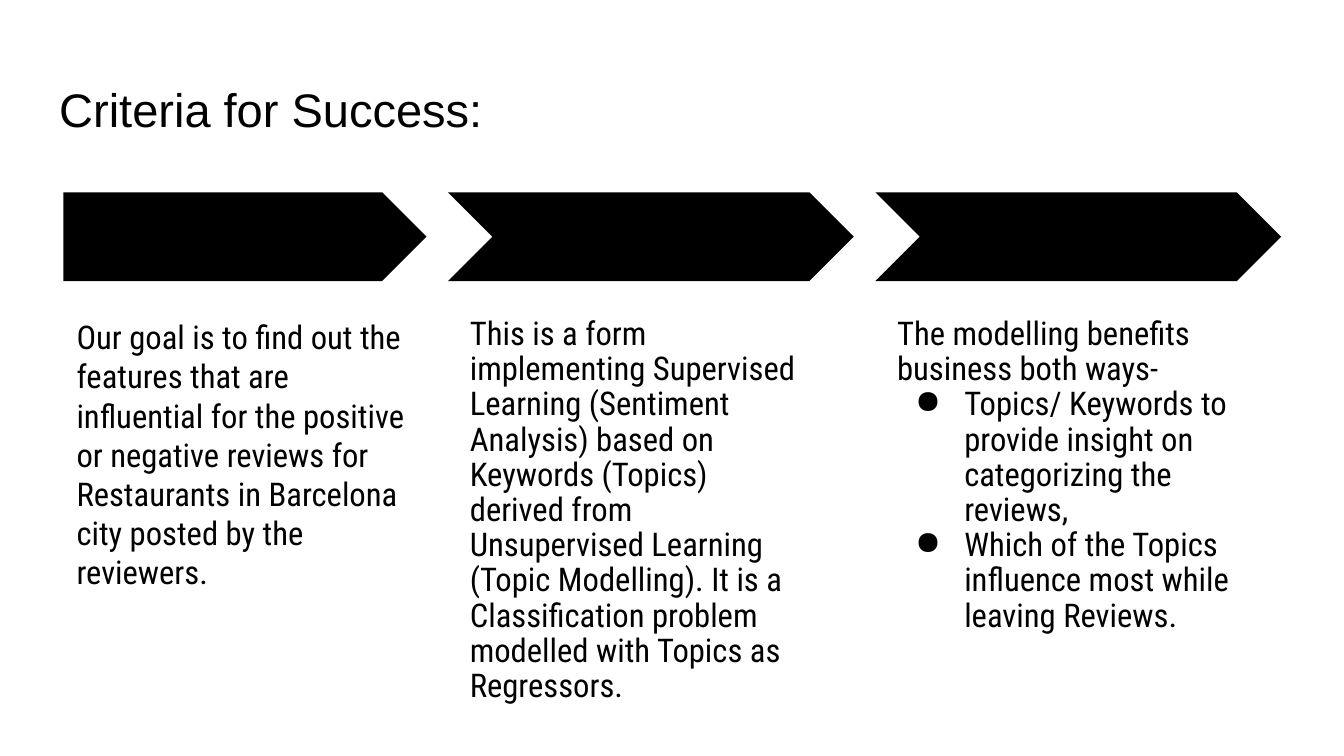
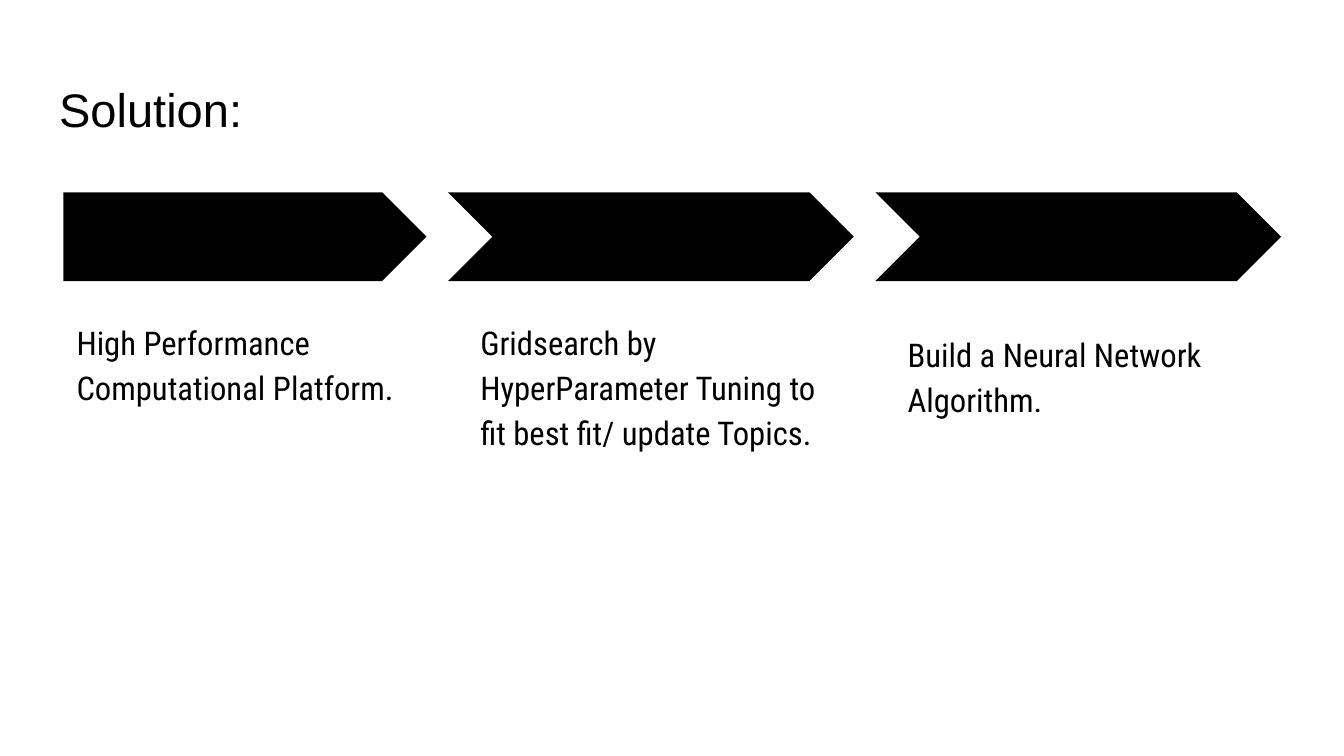
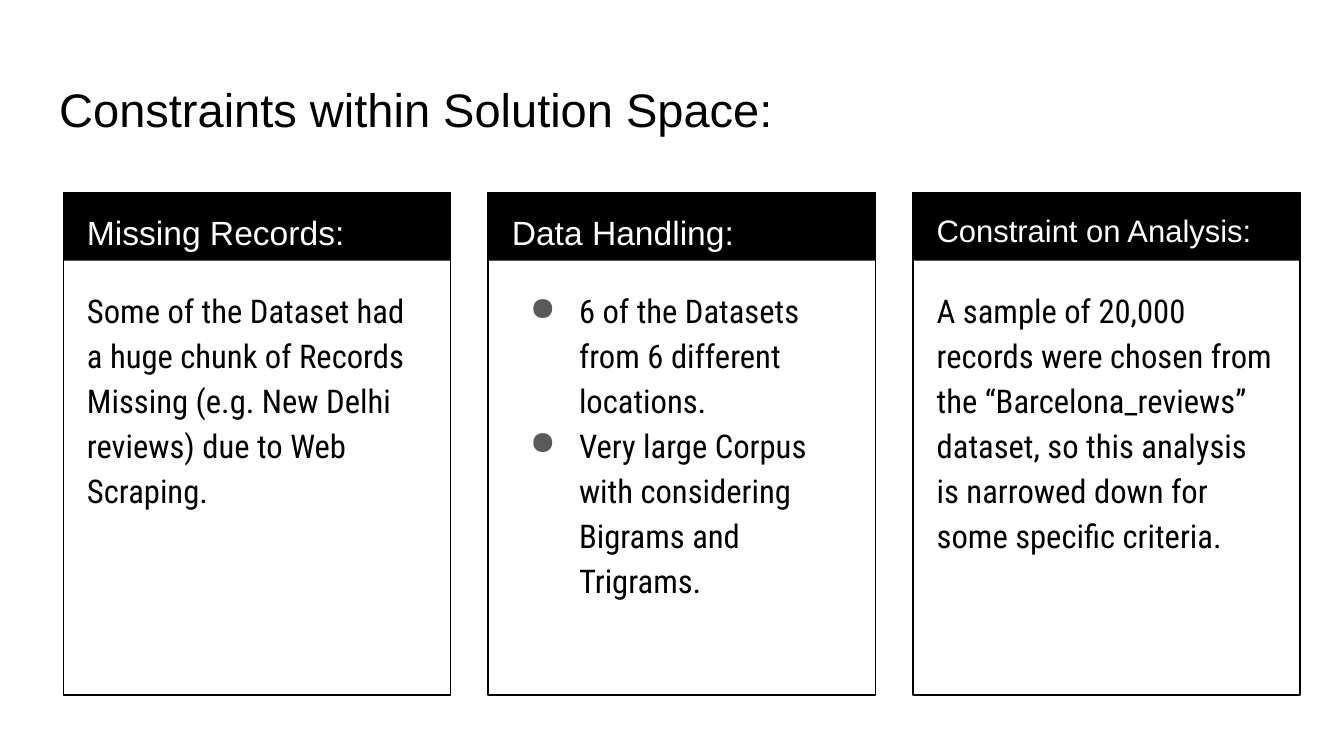
from lxml.etree import SubElement
from pptx import Presentation
from pptx.dml.color import RGBColor
from pptx.enum.shapes import MSO_SHAPE as SHAPE
from pptx.enum.text import MSO_ANCHOR as ANCHOR, MSO_AUTO_SIZE as AUTO_SIZE, PP_ALIGN as ALIGN
from pptx.oxml.ns import qn
from pptx.util import Pt

BLACK = RGBColor(0x00, 0x00, 0x00)
WHITE = RGBColor(0xFF, 0xFF, 0xFF)
GREY = RGBColor(0x59, 0x59, 0x59)
HEADING_FONT, BODY_FONT = "Arial", "Roboto Condensed"
BODY_SIZE = 17.5

LEFT, TOP = 33.9, 103
ARROW_HEIGHT, ARROW_GAP = 47.6, 11.5
STEP_WIDTH, CHEVRON_WIDTH = 194.6, 217.4
STEP_TOP, STEP_HEIGHT = 162.7, 208.8
CARD_WIDTH, CARD_HEIGHT, CARD_PITCH = 207.4, 269.3, 227.6
BAND_HEIGHT, CARD_INDENT = 36.7, 5.6
CARD_TEXT_TOP, CARD_TEXT_HEIGHT = 145.4, 220

# Steps: text, bullets, line spacing, drop below the common top
PROCESSES = [
    {
        "title": "Criteria for Success:",
        "indent": 4.6,
        "space_after": 0,
        "steps": [
            ("Our goal is to find out the features that are influential for the positive or negative "
             "reviews for Restaurants in Barcelona city posted by the reviewers.", [], 1.0, 0),
            ("This is a form implementing Supervised Learning (Sentiment Analysis) based on Keywords "
             "(Topics) derived from Unsupervised Learning (Topic Modelling). It is a Classification "
             "problem modelled with Topics as Regressors.", [], 0.9, 0),
            ("The modelling benefits business both ways-",
             ["Topics/ Keywords to provide insight on categorizing the reviews,",
              "Which of the Topics influence most while leaving Reviews."], 0.9, 0),
        ],
    },
    {
        "title": "Solution:",
        "indent": 10.2,
        "space_after": 8,
        "steps": [
            ("High Performance Computational Platform.", [], 1.15, 0),
            ("Gridsearch by HyperParameter Tuning to fit best fit/ update Topics.", [], 1.15, 0),
            ("Build a Neural Network Algorithm.", [], 1.15, 6.5),
        ],
    },
]

CONSTRAINTS_TITLE = "Constraints within Solution Space:"
# Cards: heading, heading size, text, bullets, space after
CONSTRAINTS = [
    ("Missing Records:", 18,
     "Some of the Dataset had a huge chunk of Records Missing (e.g. New Delhi reviews) due to "
     "Web Scraping.", [], 16),
    ("Data Handling:", 18, None,
     ["6 of the Datasets from 6 different locations.",
      "Very large Corpus with considering Bigrams and Trigrams."], 0),
    ("Constraint on Analysis:", 16.6,
     "A sample of 20,000 records were chosen from the “Barcelona_reviews” dataset, so this "
     "analysis is narrowed down for some specific criteria.", [], 0),
]


def set_font(paragraph, name, size, color):
    paragraph.font.name = name
    paragraph.font.size = Pt(size)
    paragraph.font.color.rgb = color


def set_frame(frame, anchor):
    frame.word_wrap = True
    frame.auto_size = AUTO_SIZE.NONE
    frame.vertical_anchor = anchor
    frame.margin_left = frame.margin_right = frame.margin_top = frame.margin_bottom = Pt(7.2)


def add_bullet(paragraph, color):
    properties = paragraph._p.get_or_add_pPr()
    properties.set("marL", str(Pt(36)))
    properties.set("indent", str(Pt(-26.3)))
    bullet_color = SubElement(properties, qn("a:buClr"))
    SubElement(bullet_color, qn("a:srgbClr"), val=str(color))
    SubElement(properties, qn("a:buChar"), char="●")


def add_text(slide, box, text, bullets=(), spacing=1.15, after=0, bullet_color=BLACK,
             font=BODY_FONT, size=BODY_SIZE, color=BLACK):
    """Add a text box holding an optional lead paragraph and then bullets."""
    frame = slide.shapes.add_textbox(*map(Pt, box)).text_frame
    set_frame(frame, ANCHOR.TOP)
    lines = ([text] if text else []) + list(bullets)
    for number, line in enumerate(lines):
        paragraph = frame.add_paragraph() if number else frame.paragraphs[0]
        paragraph.text = line
        paragraph.line_spacing = spacing
        paragraph.space_after = Pt(after)
        set_font(paragraph, font, size, color)
        if line in bullets:
            add_bullet(paragraph, bullet_color)


def add_outline(shapes, kind, box, fill=None, line=None):
    shape = shapes.add_shape(kind, *map(Pt, box))
    shape.shadow.inherit = False
    if fill is None:
        shape.fill.background()
    else:
        shape.fill.solid()
        shape.fill.fore_color.rgb = fill
    if line is None:
        shape.line.fill.background()
    else:
        shape.line.color.rgb = line
        shape.line.width = Pt(0.75)


def add_titled_slide(deck, heading):
    slide = deck.slides.add_slide(deck.slide_layouts[5])
    title = slide.shapes.title
    title.left, title.top, title.width, title.height = map(Pt, (24.5, 35.3, 671, 45.4))
    title.text = heading
    set_frame(title.text_frame, ANCHOR.MIDDLE)
    paragraph = title.text_frame.paragraphs[0]
    paragraph.alignment = ALIGN.LEFT
    set_font(paragraph, HEADING_FONT, 25.2, BLACK)
    return slide


def add_process_slide(deck, process):
    slide = add_titled_slide(deck, process["title"])
    left = LEFT
    for number, (text, bullets, spacing, drop) in enumerate(process["steps"]):
        kind, width, indent = ((SHAPE.CHEVRON, CHEVRON_WIDTH, process["indent"]) if number
                               else (SHAPE.PENTAGON, STEP_WIDTH, 0))
        add_outline(slide.shapes, kind, (left, TOP, width, ARROW_HEIGHT), fill=BLACK)
        add_text(slide, (left + indent, STEP_TOP + drop, STEP_WIDTH, STEP_HEIGHT),
                 text, bullets, spacing, process["space_after"])
        left += width + ARROW_GAP


def add_constraints_slide(deck):
    slide = add_titled_slide(deck, CONSTRAINTS_TITLE)
    for number, (heading, heading_size, text, bullets, after) in enumerate(CONSTRAINTS):
        left = LEFT + number * CARD_PITCH
        card = slide.shapes.add_group_shape().shapes
        add_outline(card, SHAPE.RECTANGLE, (left, TOP, CARD_WIDTH, BAND_HEIGHT), fill=BLACK)
        add_outline(card, SHAPE.RECTANGLE, (left, TOP, CARD_WIDTH, CARD_HEIGHT), line=BLACK)
        text_left = left + CARD_INDENT
        add_text(slide, (text_left, TOP, 196.6, 36), heading,
                 font=HEADING_FONT, size=heading_size, color=WHITE)
        add_text(slide, (text_left, CARD_TEXT_TOP, 195.1, CARD_TEXT_HEIGHT), text, bullets,
                 after=after, bullet_color=GREY)


def main():
    deck = Presentation()
    deck.slide_width, deck.slide_height = Pt(720), Pt(405)
    for process in PROCESSES:
        add_process_slide(deck, process)
    add_constraints_slide(deck)
    deck.save("out.pptx")


if __name__ == "__main__":
    main()
